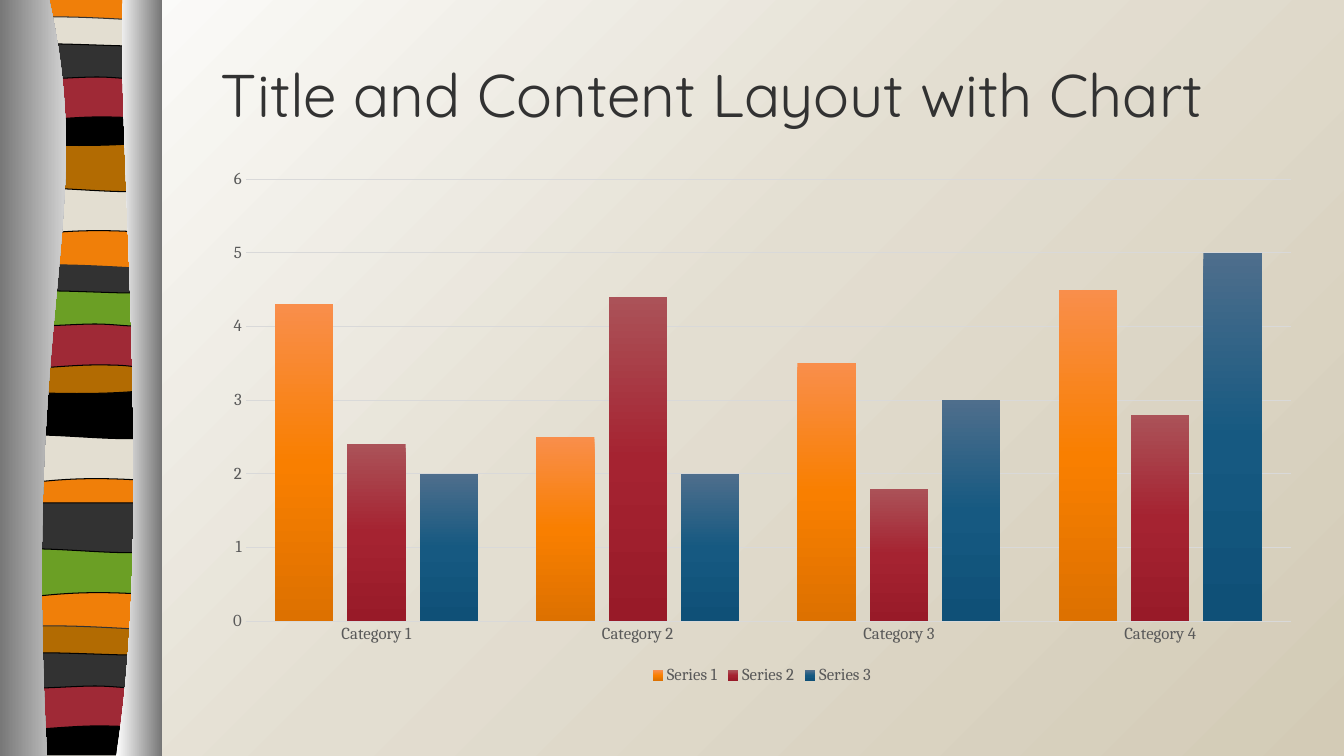
from lxml.etree import SubElement
from pptx import Presentation
from pptx.chart.data import CategoryChartData
from pptx.dml.color import RGBColor
from pptx.enum.chart import XL_CHART_TYPE, XL_LEGEND_POSITION, XL_TICK_MARK
from pptx.enum.shapes import MSO_SHAPE
from pptx.enum.text import MSO_ANCHOR
from pptx.oxml.ns import qn
from pptx.util import Pt

PX = 12192000 / 1344
WIDE, HIGH = 1344, 756

WHITE = RGBColor(0xFF, 0xFF, 0xFF)
BLACK = RGBColor(0x00, 0x00, 0x00)
DARK = RGBColor(0x32, 0x32, 0x32)
STEEL = RGBColor(0x76, 0x76, 0x76)
SAND = RGBColor(0xE3, 0xDE, 0xD1)
STONE = RGBColor(0xD3, 0xCB, 0xB6)
ORANGE = RGBColor(0xF0, 0x7F, 0x09)
RED = RGBColor(0x9F, 0x29, 0x36)
OCHRE = RGBColor(0xB2, 0x6B, 0x02)
GREEN = RGBColor(0x6B, 0x9F, 0x25)
LABEL = RGBColor(0x59, 0x59, 0x59)
GRID = RGBColor(0xD9, 0xD9, 0xD9)

BASE = [(150, 0), (150, 754), (0, 754), (0, 0), (150, 0)]
SAG = [(150, 0), (150, 0, 150, 47, 150, 47), (46, 39, 24, 55, 0, 47),
       (0, 0), (150, 0)]
WAVE = [(150, 0), (150, 47), (125, 55, 46, 42, 0, 47), (0, 0), (150, 0)]
LENS = [(150, 5), (150, 29), (125, 33, 25, 33, 0, 29), (0, 5),
        (9, 0, 33, 1, 58, 1), (83, 1, 131, 4, 150, 5)]
DIP = [(150, 0), (150, 33), (125, 39, 25, 39, 0, 33), (0, 0),
       (93, 6, 119, 0, 150, 0)]
ARCH = [(150, 0), (150, 0, 150, 47, 150, 47), (127, 42, 117, 42, 93, 42),
        (68, 42, 23, 47, 0, 47), (0, 0), (150, 0)]
DRUM = [(150, 5), (150, 36), (140, 41, 117, 36, 93, 36),
        (68, 36, 16, 41, 0, 36), (0, 5), (21, 0, 102, 5, 127, 5),
        (152, 5, 145, 5, 150, 5)]
FOOT = [(150, 0), (150, 37), (2, 37), (0, 0), (93, 5, 119, 0, 150, 0)]
BANDS = [
    (BASE, 4, -1, ORANGE), (SAG, 4, 186, SAND), (WAVE, 4, 142, OCHRE),
    (LENS, 4, 16, SAND), (DIP, 4, 108, BLACK), (ARCH, 4, 75, RED),
    (DRUM, 4, 41, DARK), (SAG, 2, 434, SAND), (WAVE, 2, 389, BLACK),
    (LENS, 2, 264, DARK), (DIP, 2, 356, OCHRE), (ARCH, 2, 323, RED),
    (DRUM, 2, 288, GREEN), (SAG, 4, 548, GREEN), (WAVE, 4, 503, DARK),
    (LENS, 2, 625, OCHRE), (FOOT, 2, 718, BLACK), (ARCH, 2, 684, RED),
    (DRUM, 2, 650, DARK),
]
LEFT = [(49, -1), (98, 219, 22, 298, 47, 756), (0, 756), (-1, -1), (49, -1)]
RIGHT = [(123, -1), (116, 126, 155, 526, 116, 756), (162, 756), (162, 0),
         (123, -1)]
CATS = [f"Category {n}" for n in range(1, 5)]
SERIES = [
    ("Series 1", (4.3, 2.5, 3.5, 4.5), ("F98E4B", "F97F00", "DD7100")),
    ("Series 2", (2.4, 4.4, 1.8, 2.8), ("AB5258", "A52331", "981A28")),
    ("Series 3", (2, 2, 3, 5), ("4E6E8C", "165981", "0F5077")),
]


def box(*sides):
    """Turn pixel lengths into EMU."""
    return [round(side * PX) for side in sides]


def blend(props, tones, angle=None):
    """Swap a solid fill for evenly spaced stops, radial if no angle is given."""
    old = props.find(qn("a:solidFill"))
    grad = old.makeelement(qn("a:gradFill"), {"rotWithShape": "1"})
    stops = SubElement(grad, qn("a:gsLst"))
    for n, tone in enumerate(tones):
        place = str(n * 100000 // (len(tones) - 1))
        stop = SubElement(stops, qn("a:gs"), pos=place)
        SubElement(stop, qn("a:srgbClr"), val=str(tone))
    if angle is None:
        ring = SubElement(grad, qn("a:path"), {"path": "circle"})
        SubElement(ring, qn("a:fillToRect"), l="100000", t="100000")
    else:
        SubElement(grad, qn("a:lin"), ang=str(angle * 60000), scaled="0")
    props.replace(old, grad)


def style(shape, color, line=None):
    """Give a shape a flat fill and an optional thin outline."""
    shape.shadow.inherit = False
    shape.fill.solid()
    shape.fill.fore_color.rgb = color
    if line is None:
        shape.line.fill.background()
    else:
        shape.line.color.rgb = line
        shape.line.width = Pt(0.75)
    return shape


def bend(shape, steps):
    """Merge three lines into one cubic curve for each six-number step."""
    route = shape._element.find(".//" + qn("a:path"))
    lines = iter(route.findall(qn("a:lnTo")))
    for step in steps:
        first = next(lines)
        if len(step) == 6:
            cubic = route.makeelement(qn("a:cubicBezTo"))
            first.addprevious(cubic)
            for line in (first, next(lines), next(lines)):
                cubic.append(line[0])
                route.remove(line)


def outline(slide, steps, color, line=None, left=0, top=0):
    """Draw a closed outline of lines and curves, shifted by left and top."""
    spots = [box(left + step[n], top + step[n + 1])
             for step in steps for n in range(0, len(step), 2)]
    pen = slide.shapes.build_freeform(*spots[0])
    pen.add_line_segments(spots[1:], close=True)
    shape = pen.convert_to_shape()
    bend(shape, steps[1:])
    return style(shape, color, line)


def band(slide, form, left, top, color):
    """Draw one coloured stripe."""
    line = DARK if form is LENS else BLACK
    outline(slide, form, color, line, left, top)


def panel(slide, steps, tones):
    """Draw a shaded metal panel."""
    blend(outline(slide, steps, STEEL)._element.spPr, tones, 0)


def title(slide, words):
    """Place the slide title."""
    frame = slide.shapes.add_textbox(*box(211, 30, 1102, 126)).text_frame
    frame.word_wrap = True
    frame.vertical_anchor = MSO_ANCHOR.MIDDLE
    para = frame.paragraphs[0]
    para.text = words
    para.font.name, para.font.size = "Quicksand", Pt(43)
    para.font.color.rgb = DARK


def label(font):
    """Style chart lettering."""
    font.name, font.size = "Cambria", Pt(12)
    font.color.rgb = LABEL


def columns(slide):
    """Place the clustered column chart."""
    data = CategoryChartData()
    data.categories = CATS
    for name, values, _ in SERIES:
        data.add_series(name, values)
    chart = slide.shapes.add_chart(XL_CHART_TYPE.COLUMN_CLUSTERED,
                                   *box(211, 159, 1102, 530), data).chart
    label(chart.font)
    chart.has_title = False
    chart.has_legend = True
    chart.legend.position = XL_LEGEND_POSITION.BOTTOM
    chart.legend.include_in_layout = False
    label(chart.legend.font)
    for axis in (chart.category_axis, chart.value_axis):
        axis.major_tick_mark = axis.minor_tick_mark = XL_TICK_MARK.NONE
        label(axis.tick_labels.font)
    base, scale = chart.category_axis.format.line, chart.value_axis
    base.color.rgb, base.width = GRID, Pt(1)
    scale.format.line.fill.background()
    grid = scale.major_gridlines.format.line
    grid.color.rgb, grid.width = GRID, Pt(0.75)
    plot = chart.plots[0]
    plot.gap_width, plot.overlap, plot.vary_by_categories = 100, -24, False
    for bars, (_, _, tones) in zip(plot.series, SERIES):
        bars.format.fill.solid()
        bars.format.fill.fore_color.rgb = RGBColor.from_string(tones[1])
        blend(bars._element.spPr, tones, 90)


def main():
    """Build and save the slide."""
    deck = Presentation()
    deck.slide_width, deck.slide_height = box(WIDE, HIGH)
    slide = deck.slides.add_slide(deck.slide_layouts[6])
    back = slide.shapes.add_shape(MSO_SHAPE.RECTANGLE, *box(0, 0, WIDE, HIGH))
    blend(style(back, SAND)._element.spPr, (STONE, SAND, WHITE))
    for stripe in BANDS:
        band(slide, *stripe)
    panel(slide, LEFT, (STEEL, WHITE))
    panel(slide, RIGHT, (WHITE, STEEL))
    columns(slide)
    title(slide, "Title and Content Layout with Chart")
    deck.save("out.pptx")


main()
